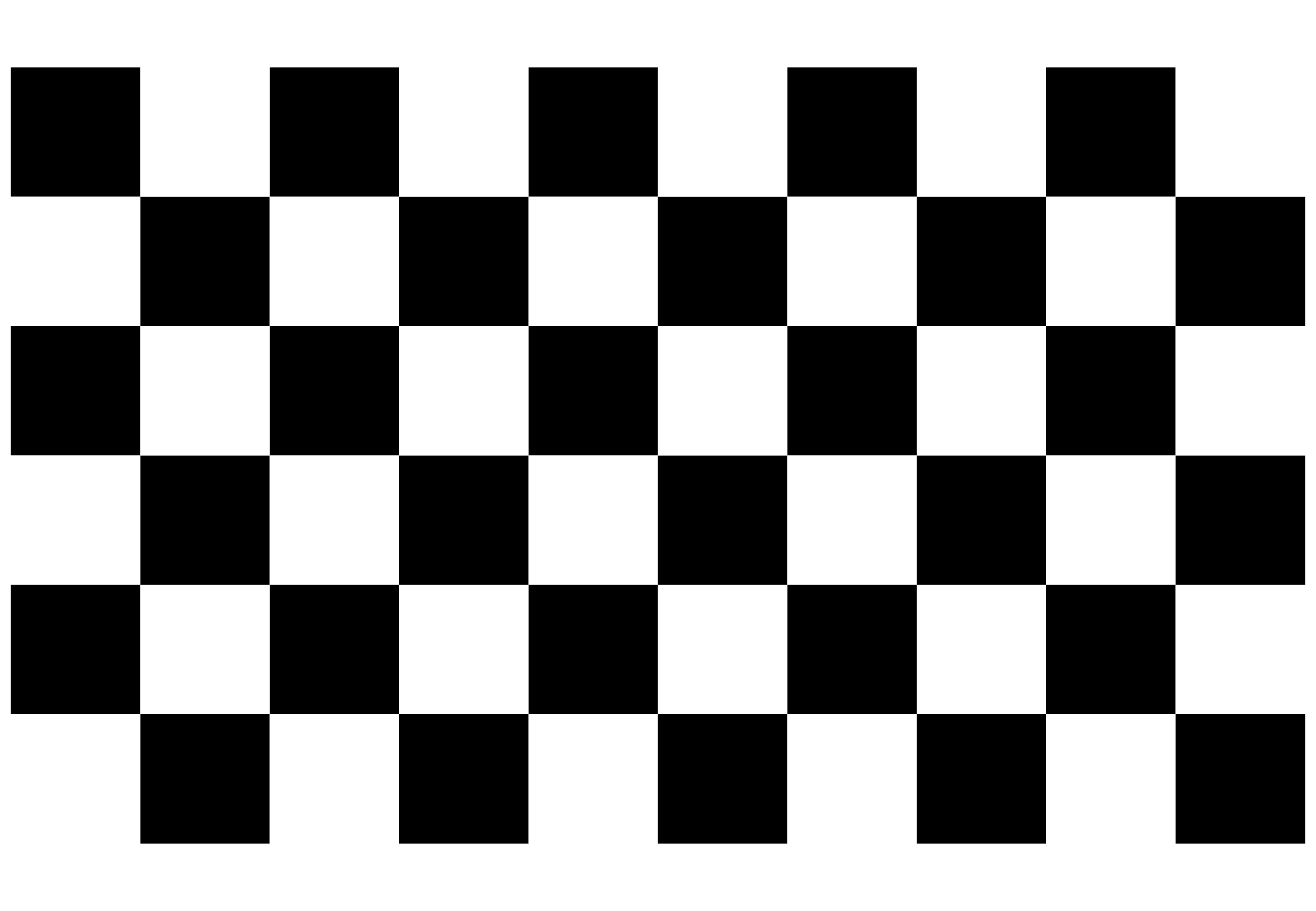
from itertools import product

from pptx import Presentation
from pptx.dml.color import RGBColor
from pptx.enum import shapes
from pptx.util import Inches

COLORS = {"dark": "000000", "light": "FFFFFF"}
SLIDE_WIDTH, SLIDE_HEIGHT = Inches(10.83), Inches(7.5)
BOARD_WIDTH, BOARD_HEIGHT = Inches(10.65), Inches(6.39)
ROWS, COLUMNS = 6, 10


def add_checkerboard(slide, left, top, width, height):
    """Fill the box with a grouped grid of alternating squares, dark at top left."""
    board = slide.shapes.add_group_shape()
    square_width, square_height = width // COLUMNS, height // ROWS
    for row, column in product(range(ROWS), range(COLUMNS)):
        square = board.shapes.add_shape(
            shapes.MSO_SHAPE.RECTANGLE,
            left + column * square_width, top + row * square_height,
            square_width, square_height)
        shade = "light" if (row + column) % 2 else "dark"
        square.fill.solid()
        square.fill.fore_color.rgb = RGBColor.from_string(COLORS[shade])
        square.line.fill.background()
        square.shadow.inherit = False


def main():
    """Build the slide with the checkerboard centred on it."""
    presentation = Presentation()
    presentation.slide_width = SLIDE_WIDTH
    presentation.slide_height = SLIDE_HEIGHT
    slide = presentation.slides.add_slide(presentation.slide_layouts[6])
    slide.background.fill.solid()
    slide.background.fill.fore_color.rgb = RGBColor.from_string(COLORS["light"])
    add_checkerboard(
        slide,
        (SLIDE_WIDTH - BOARD_WIDTH) // 2, (SLIDE_HEIGHT - BOARD_HEIGHT) // 2,
        BOARD_WIDTH, BOARD_HEIGHT)
    presentation.save("out.pptx")


main()
